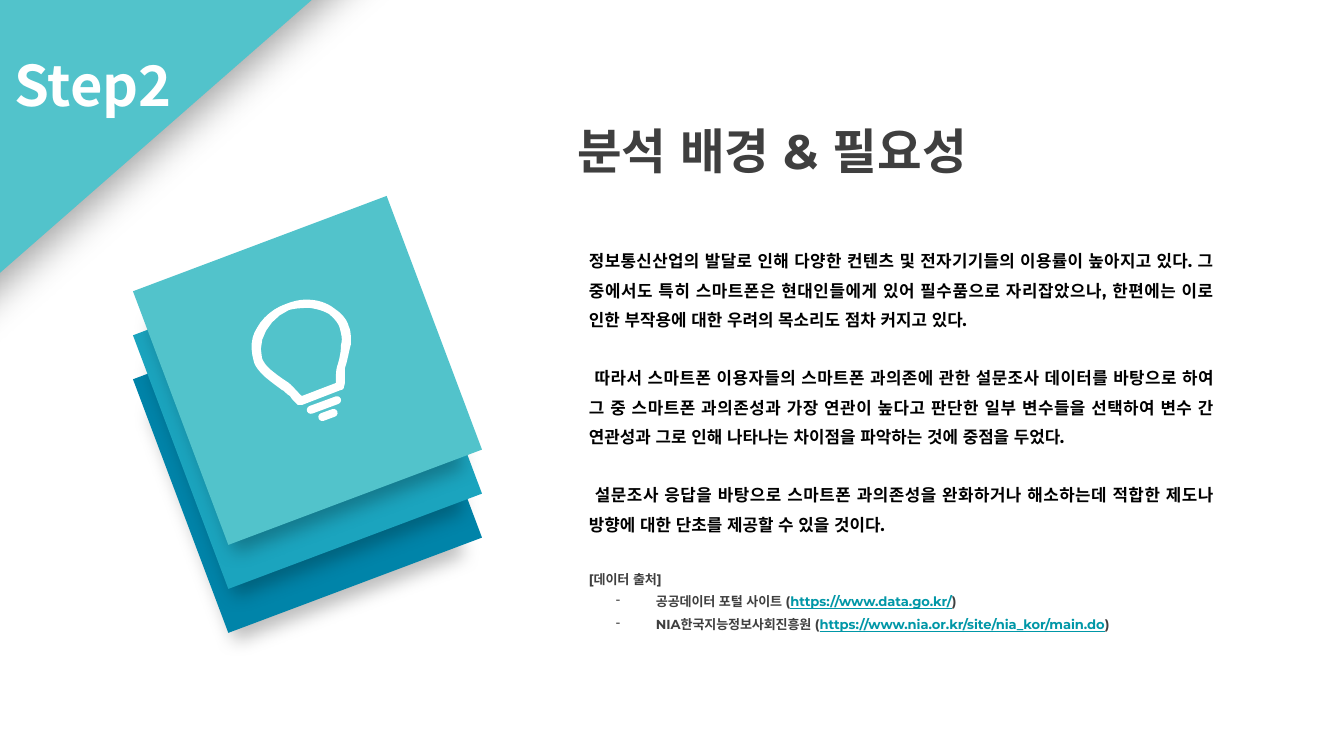
from lxml import etree
from pptx import Presentation
from pptx import util as u
from pptx.dml.color import RGBColor
from pptx.enum import shapes, text
from pptx.oxml import ns

PX = 914400 / 134.4
WHITE = RGBColor(0xFF, 0xFF, 0xFF)
BLACK = RGBColor(0, 0, 0)
GRAY = RGBColor(0x3F, 0x3F, 0x3F)
AQUA = RGBColor(0x52, 0xC3, 0xCB)
TEAL = RGBColor(0x1B, 0xA4, 0xBE)
BLUE = RGBColor(0x00, 0x84, 0xA9)
LINK = RGBColor(0x00, 0x97, 0xA7)
LATIN, KOREAN = "Montserrat", "Noto Sans CJK KR"

STEP = "Step2"
TITLE = "분석 배경 & 필요성"
BODY = [
    "정보통신산업의 발달로 인해 다양한 컨텐츠 및 전자기기들의 이용률이 높아지고 있다. "
    "그 중에서도 특히 스마트폰은 현대인들에게 있어 필수품으로 자리잡았으나, "
    "한편에는 이로 인한 부작용에 대한 우려의 목소리도 점차 커지고 있다.",
    " 따라서 스마트폰 이용자들의 스마트폰 과의존에 관한 설문조사 데이터를 바탕으로 하여 "
    "그 중 스마트폰 과의존성과 가장 연관이 높다고 판단한 일부 변수들을 선택하여 변수 간 "
    "연관성과 그로 인해 나타나는 차이점을 파악하는 것에 중점을 두었다.",
    " 설문조사 응답을 바탕으로 스마트폰 과의존성을 완화하거나 해소하는데 적합한 제도나 "
    "방향에 대한 단초를 제공할 수 있을 것이다.",
]
SOURCE_HEADING = "[데이터 출처]"
SOURCES = [
    ("공공데이터 포털 사이트 (", "https://www.data.go.kr/"),
    ("NIA한국지능정보사회진흥원 (", "https://www.nia.or.kr/site/nia_kor/main.do"),
]

# Each bulb contour: a start point, then Bezier segments (control, control, end).
BULB_OUTER = (335, 309), [
    ((329, 304), (321, 301), (313, 300)), ((304, 299), (296, 300), (286, 304)),
    ((274, 308), (263, 317), (257, 328)), ((251, 337), (250, 349), (254, 362)),
    ((255, 366), (259, 371), (263, 375)), ((267, 379), (274, 384), (282, 390)),
    ((285, 391), (286, 394), (290, 396)), ((293, 401), (296, 403), (298, 405)),
    ((300, 405), (301, 405), (302, 405)), ((341, 390), (341, 390), (341, 390)),
    ((343, 390), (344, 388), (344, 387)), ((345, 384), (345, 382), (345, 378)),
    ((345, 374), (345, 371), (345, 368)), ((348, 359), (349, 351), (351, 344)),
    ((351, 337), (351, 331), (349, 327)), ((347, 319), (341, 313), (335, 309)),
]
BULB_INNER = (341, 345), [
    ((341, 351), (340, 358), (337, 367)), ((336, 371), (336, 374), (336, 378)),
    ((336, 380), (336, 382), (336, 383)), ((302, 396), (302, 396), (302, 396)),
    ((300, 395), (298, 392), (297, 391)), ((293, 387), (290, 384), (289, 383)),
    ((281, 378), (276, 374), (271, 370)), ((266, 366), (263, 361), (262, 358)),
    ((257, 340), (269, 319), (289, 310)), ((297, 308), (304, 308), (310, 308)),
    ((317, 309), (324, 311), (329, 314)), ((335, 319), (339, 324), (340, 329)),
    ((341, 333), (343, 339), (341, 345)),
]
BULB_BASE = [(306, 401, 36, 8), (318, 411, 20, 8)]


def px(*lengths):
    return [u.Emu(round(length * PX)) for length in lengths]


def paint(shape, color):
    shape.shadow.inherit = False
    shape.fill.solid()
    shape.fill.fore_color.rgb = color
    shape.line.fill.background()


def add_block(page, kind, place, color, angle):
    block = page.shapes.add_shape(kind, *px(*place))
    block.rotation = angle
    paint(block, color)
    return block


def cast_shadow(shape, alpha, blur, distance, angle, scale, align):
    effects = shape._element.spPr.find(ns.qn("a:effectLst"))
    shadow = etree.SubElement(
        effects, ns.qn("a:outerShdw"), blurRad=str(u.Pt(blur)), dist=str(u.Pt(distance)),
        dir=str(angle * 60000), sx=str(scale * 1000), sy=str(scale * 1000),
        algn=align, rotWithShape="0")
    color = etree.SubElement(shadow, ns.qn("a:srgbClr"), val="000000")
    etree.SubElement(color, ns.qn("a:alpha"), val=str(alpha * 1000))


def flatten(start, segments, steps=6):
    """Return points along the Bezier segments, start excluded."""
    points = []
    for c1, c2, end in segments:
        for t in (i / steps for i in range(1, steps + 1)):
            weights = (1 - t) ** 3, 3 * t * (1 - t) ** 2, 3 * t * t * (1 - t), t ** 3
            points.append(tuple(
                sum(w * p[axis] for w, p in zip(weights, (start, c1, c2, end))) * PX
                for axis in (0, 1)))
        start = end
    return points


def add_bulb(page):
    builder = page.shapes.build_freeform(*px(*BULB_OUTER[0]), scale=1.0)
    builder.add_line_segments(flatten(*BULB_OUTER))
    builder.move_to(*px(*BULB_INNER[0]))
    builder.add_line_segments(flatten(*BULB_INNER))
    paint(builder.convert_to_shape(), WHITE)
    for place in BULB_BASE:
        bar = add_block(page, shapes.MSO_SHAPE.ROUNDED_RECTANGLE, place, WHITE, 339.8)
        bar.adjustments[0] = 0.5


def add_text_box(page, place, inset_x, inset_y):
    frame = page.shapes.add_textbox(*px(*place)).text_frame
    frame.word_wrap = True
    frame.auto_size = text.MSO_AUTO_SIZE.SHAPE_TO_FIT_TEXT
    frame.margin_left, frame.margin_right = px(inset_x, inset_x)
    frame.margin_top, frame.margin_bottom = px(inset_y, inset_y)
    return frame


def style(para, size, color, name=LATIN):
    font = para.font
    font.size, font.bold, font.name = u.Pt(size), True, name
    font.color.rgb = color
    defaults = para._p.pPr.find(ns.qn("a:defRPr"))
    etree.SubElement(defaults, ns.qn("a:ea"), typeface=name)


def add_dash(para):
    props = para._p.get_or_add_pPr()
    left, indent = px(67, -40)
    props.set("marL", str(left))
    props.set("indent", str(indent))
    color = etree.SubElement(props, ns.qn("a:buClr"))
    etree.SubElement(color, ns.qn("a:srgbClr"), val=str(GRAY))
    etree.SubElement(props, ns.qn("a:buChar"), char="-")


def fill_body(frame):
    rows = [([line], 9, BLACK) for line in BODY]
    rows.append(([SOURCE_HEADING], 7, GRAY))
    rows += [([label, link, ")"], 7, GRAY) for label, link in SOURCES]
    for index, (spans, size, color) in enumerate(rows):
        para = frame.add_paragraph() if index else frame.paragraphs[0]
        para.alignment = text.PP_ALIGN.JUSTIFY
        para.line_spacing = 1.45
        if len(spans) > 1:
            add_dash(para)
        elif index:
            para.space_before = u.Pt(15.7)
        style(para, size, color)
        for content in spans:
            span = para.add_run()
            span.text = content
            if content.startswith("https"):
                span.font.color.rgb = LINK
                span.font.underline = True


def main():
    deck = Presentation()
    deck.slide_width, deck.slide_height = px(1344, 756)
    page = deck.slides.add_slide(deck.slide_layouts[6])
    rectangle = shapes.MSO_SHAPE.RECTANGLE

    corner = add_block(page, rectangle, (-58, -258, 266, 577), AQUA, 48.8)
    cast_shadow(corner, 36, 21.4, 6.8, 90, 100, "ctr")
    step = add_text_box(page, (-42, 38, 271, 95), 13, 13).paragraphs[0]
    step.text = STEP
    step.alignment = text.PP_ALIGN.CENTER
    style(step, 30, WHITE, KOREAN)

    title = add_text_box(page, (567, 116, 586, 69), 10, 5).paragraphs[0]
    title.text = TITLE
    style(title, 26, GRAY)

    for level, color in enumerate((BLUE, TEAL, AQUA)):
        sheet = add_block(page, rectangle, (172, 323 - 44 * level, 271, 271), color, 69.4)
        cast_shadow(sheet, 25, 10, 30, 130, 90, "tr")
    add_bulb(page)

    fill_body(add_text_box(page, (579, 237, 644, 396), 10, 5))
    deck.save("out.pptx")


if __name__ == "__main__":
    main()
